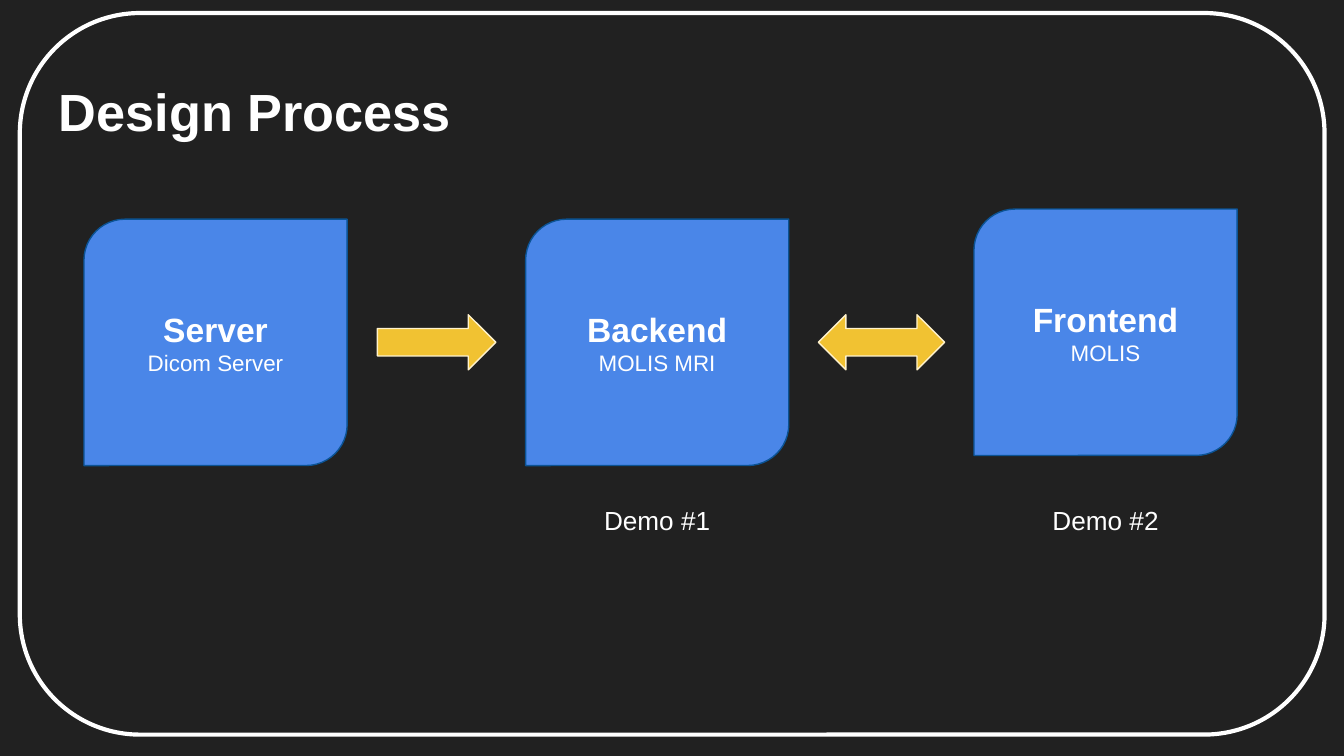
from pptx import Presentation
from pptx.dml.color import RGBColor
from pptx.enum.shapes import MSO_SHAPE
from pptx.enum.text import MSO_ANCHOR, PP_ALIGN
from pptx.util import Pt

DARK = RGBColor(0x21, 0x21, 0x21)
WHITE = RGBColor(0xFF, 0xFF, 0xFF)
BLUE = RGBColor(0x4A, 0x86, 0xE8)
NAVY = RGBColor(0x0B, 0x53, 0x94)
GOLD = RGBColor(0xF1, 0xC2, 0x32)
CREAM = RGBColor(0xFF, 0xF2, 0xCC)

deck = Presentation()
deck.slide_width, deck.slide_height = Pt(720), Pt(405)
slide = deck.slides.add_slide(deck.slide_layouts[6])
slide.background.fill.solid()
slide.background.fill.fore_color.rgb = DARK


def add_form(kind, box, fill, edge, width=0.75):
    form = slide.shapes.add_shape(kind, *map(Pt, box))
    form.shadow.inherit = False
    if fill is None:
        form.fill.background()
    else:
        form.fill.solid()
        form.fill.fore_color.rgb = fill
    form.line.color.rgb = edge
    form.line.width = Pt(width)
    return form


def add_text(form, lines, align, anchor):
    frame = form.text_frame
    frame.word_wrap = True
    frame.vertical_anchor = anchor
    frame.margin_left = frame.margin_right = Pt(7.2)
    frame.margin_top = frame.margin_bottom = Pt(7.2)
    for i, (text, size, bold) in enumerate(lines):
        para = frame.add_paragraph() if i else frame.paragraphs[0]
        para.alignment = align
        run = para.add_run()
        run.text = text
        run.font.name = "Arial"
        run.font.size = Pt(size)
        run.font.bold = bold
        run.font.color.rgb = WHITE


add_form(MSO_SHAPE.ROUNDED_RECTANGLE, (10.6, 7, 699, 386.6), None, WHITE, 2.25)

title = slide.shapes.add_textbox(Pt(24.5), Pt(35.3), Pt(671), Pt(45.4))
add_text(title, [("Design Process", 28, True)], PP_ALIGN.LEFT, MSO_ANCHOR.TOP)

WIDE, HIGH = 141, 132
stages = [
    (45, 117.4, "Server", "Dicom Server", None),
    (281.6, 117.4, "Backend", "MOLIS MRI", "Demo #1"),
    (521.8, 112, "Frontend", "MOLIS", "Demo #2"),
]
for left, top, name, tool, demo in stages:
    card = add_form(MSO_SHAPE.ROUND_2_DIAG_RECTANGLE, (left, top, WIDE, HIGH), BLUE, NAVY)
    add_text(card, [(name, 18, True), (tool, 12, False)], PP_ALIGN.CENTER, MSO_ANCHOR.MIDDLE)
    if demo:
        label = slide.shapes.add_textbox(Pt(left), Pt(262.8), Pt(WIDE), Pt(36))
        add_text(label, [(demo, 14, False)], PP_ALIGN.CENTER, MSO_ANCHOR.TOP)

arrows = [
    (MSO_SHAPE.RIGHT_ARROW, 202.2, 63.4),
    (MSO_SHAPE.LEFT_RIGHT_ARROW, 438.4, 67.6),
]
for kind, left, width in arrows:
    add_form(kind, (left, 168.6, width, 29.5), GOLD, CREAM)

deck.save("out.pptx")
